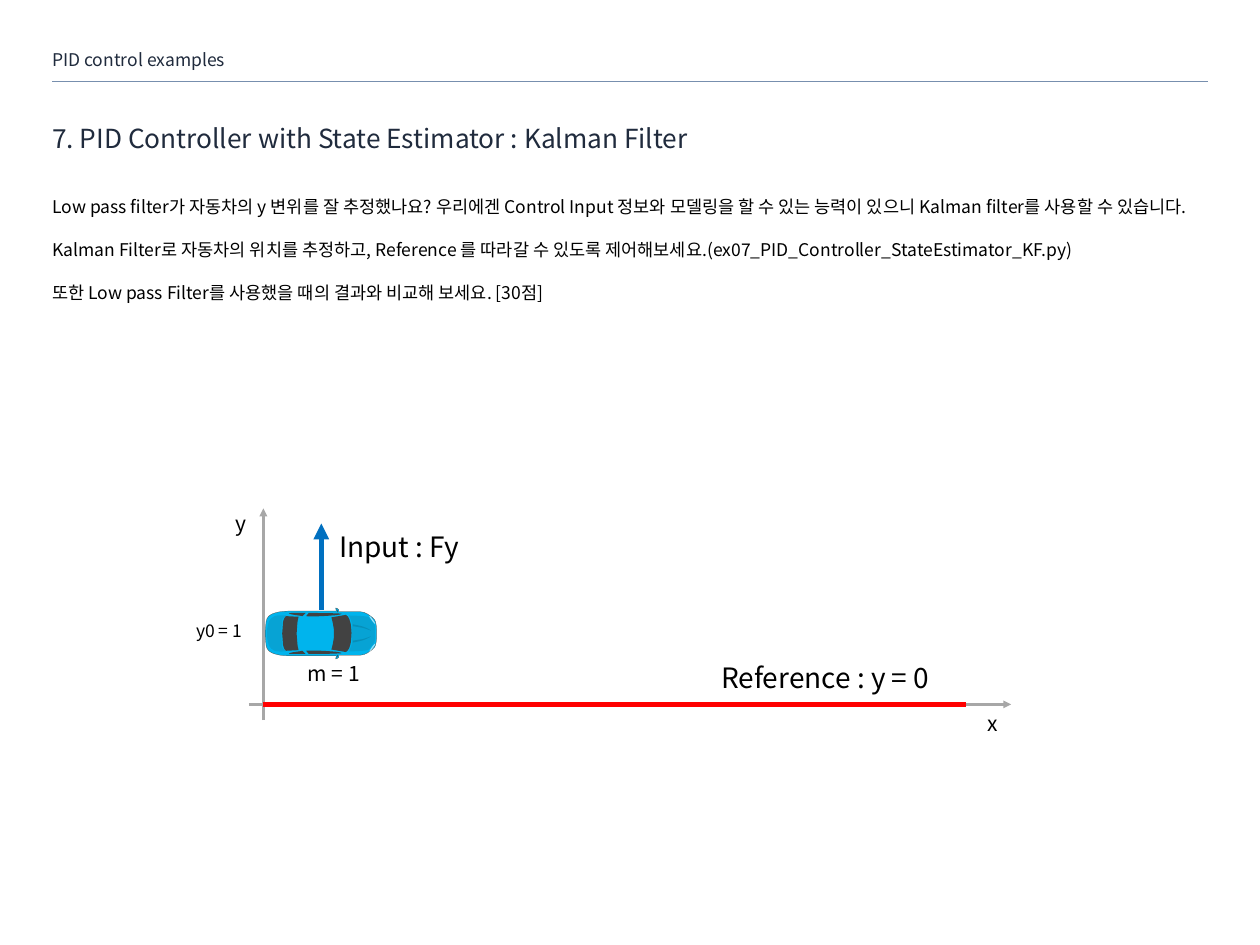
from lxml import etree
from pptx import Presentation, util as u
from pptx.dml.color import RGBColor
from pptx.enum import shapes, text
from pptx.oxml.ns import qn

PX = 9144  # EMU per px, 100 px to the inch
WIDTH, HEIGHT, MARGIN = 2000, 1500, 83

THEME = {
    "font": "Noto Sans CJK KR",
    "size": {"title": 30, "caption": 32, "axis": 24, "body": 20},
    "color": {
        "ink": "000000", "heading": "202B3D", "rule": "778FAE", "axis": "A7A7A7",
        "reference": "FF0000", "force": "0070C0", "paint": "00B4ED",
        "outline": "5B4036", "glass": "424242", "shade": "3C2A24", "light": "FFFFFF",
    },
}

HEADER = "PID control examples"
TITLE = "7. PID Controller with State Estimator : Kalman Filter"
BODY = [
    "Low pass filter가 자동차의 y 변위를 잘 추정했나요? 우리에겐 Control Input 정보와 모델링을 할 수 있는 능력이 있으니 Kalman filter를 사용할 수 있습니다.",
    "Kalman Filter로 자동차의 위치를 추정하고, Reference 를 따라갈 수 있도록 제어해보세요.(ex07_PID_Controller_StateEstimator_KF.py)",
    "또한 Low pass Filter를 사용했을 때의 결과와 비교해 보세요. [30점]",
]

# lines, box (left, top, width, height), size, colour, frame format, paragraph format
GROW = {"auto_size": text.MSO_AUTO_SIZE.SHAPE_TO_FIT_TEXT}
MIDDLE = {"vertical_anchor": text.MSO_ANCHOR.MIDDLE}
PROSE = [
    (BODY, (MARGIN, 294, 1833, 235), "body", "ink", GROW,
     {"line_spacing": 1.5, "space_before": u.Pt(13.5)}),
    ([TITLE], (MARGIN, 190, 1833, 65), "title", "heading", MIDDLE, {"line_spacing": 0.9}),
    ([HEADER], (MARGIN, 75, 1552, 43), "body", "heading", MIDDLE, {"line_spacing": 0.9}),
]

# label, left, top, width, size
LABELS = [
    ("Reference : y = 0", 1079, 1039, 462, "caption"),
    ("m = 1", 299, 1039, 462, "axis"),
    ("Input : Fy", 403, 831, 462, "caption"),
    ("y", 324, 802, 117, "axis"),
    ("x", 1517, 1118, 117, "axis"),
    ("y0 = 1", 117, 975, 462, "body"),
]
LABEL_HEIGHT = {"caption": 72, "axis": 59, "body": 52}
INSET = 9

ORIGIN_X, ORIGIN_Y = 418, 1118
# start, end, colour, points wide, has arrowhead
RULE = ((MARGIN, 129), (WIDTH - MARGIN, 129), "rule", 0.25, False)
AXES = [
    ((395, ORIGIN_Y), (1605, ORIGIN_Y), "axis", 3, True),
    ((ORIGIN_X, 1143), (ORIGIN_X, 807), "axis", 3, True),
]
SIGNALS = [
    ((ORIGIN_X, ORIGIN_Y), (1534, ORIGIN_Y), "reference", 6, False),
    ((510, 968), (510, 831), "force", 6, True),
]

# Outlines of the upper side of the car: (x, y) is a corner, six numbers a Bezier curve.
CAR_AXIS = 1005.5
BODYWORK = [
    (421, 1005), (421, 999, 421, 996, 422, 991), (422, 985, 424, 978, 431, 975),
    (435, 973, 444, 970, 459, 970), (534, 970), (533, 966), (532, 965, 533, 965, 533, 965),
    (534, 964, 537, 967, 538, 968), (538, 971), (572, 971), (580, 971, 587, 977, 591, 980),
    (594, 983, 596, 984, 597, 991), (598, 995, 598, 1000, 598, 1005),
]
WINDSCREEN = [
    (530, 1005), (530, 999), (529, 993, 528, 986, 526, 980), (549, 976),
    (554, 978, 556, 987, 557, 992), (557, 994, 558, 1001, 558, 1005),
]
REAR_WINDOW = [
    (448, 1005), (449, 992), (449, 988, 450, 981, 454, 978), (474, 979),
    (473, 983, 472, 987, 472, 990), (472, 994, 471, 1000, 471, 1005),
]
REAR_SIDE_WINDOW = [
    (485, 973), (480, 973, 466, 973, 462, 973), (456, 973, 459, 974, 462, 975),
    (465, 976, 476, 977, 480, 978), (482, 976, 483, 975, 485, 973),
]
FRONT_SIDE_WINDOW = [
    (490, 973), (486, 978), (492, 979, 516, 978, 526, 977),
    (535, 977, 547, 974, 541, 974), (524, 973, 507, 973, 490, 973),
]
WING_MIRROR = [
    (534, 966), (534, 966, 535, 969, 536, 969), (536, 970, 537, 976, 535, 969),
    (535, 969, 533, 967, 534, 966),
]
HOOD = [
    (559, 1005), (559, 993), (559, 988, 556, 982, 554, 977), (563, 977, 579, 978, 584, 979),
    (588, 982, 594, 991, 595, 993), (595, 1005),
]
HOOD_CREASE = [
    (560, 991), (560, 994), (564, 995, 569, 995, 572, 996), (576, 996, 583, 999, 589, 1001),
    (585, 998, 578, 995, 574, 994), (570, 993, 565, 992, 560, 991),
]
TRUNK = [
    (424, 1005), (424, 999), (425, 995, 425, 990, 427, 986), (429, 982, 432, 980, 436, 978),
    (441, 976, 448, 977, 454, 977), (451, 979, 449, 982, 448, 984), (447, 997), (447, 1005),
]
# outline, colour, opacity %, is a pair (otherwise one part that spans the car's axis)
CAR = [
    (BODYWORK, "paint", 100, False), (WINDSCREEN, "glass", 100, False),
    (REAR_WINDOW, "glass", 100, False), (REAR_SIDE_WINDOW, "glass", 100, True),
    (FRONT_SIDE_WINDOW, "glass", 100, True), (WING_MIRROR, "glass", 100, True),
    (HOOD, "shade", 12, False), (HOOD_CREASE, "ink", 12, True), (TRUNK, "shade", 12, False),
]
HEADLIGHTS = [((590, 976, 2, 16), 324.2), ((590, 1020, 2, 16), 35.8)]  # box, rotation


def emu(*lengths):
    return [round(length * PX) for length in lengths]


def color(name):
    return RGBColor.from_string(THEME["color"][name])


def apply(target, values):
    for name, value in values.items():
        setattr(target, name, value)


def add_text(slide, lines, box, size, ink, frame_format, paragraph_format, inset=0, kern=0):
    frame = slide.shapes.add_textbox(*emu(*box)).text_frame
    margins = {f"margin_{side}": u.Emu(inset * PX) for side in ("left", "right", "top", "bottom")}
    apply(frame, {"word_wrap": True, **margins, **frame_format})
    for index, line in enumerate(lines):
        paragraph = frame.add_paragraph() if index else frame.paragraphs[0]
        apply(paragraph, paragraph_format)
        run = paragraph.add_run()
        run.text = line
        apply(run.font, {"name": THEME["font"], "size": u.Pt(THEME["size"][size])})
        run.font.color.rgb = color(ink)
        run.font._element.set("kern", str(kern))
        etree.SubElement(run.font._element, qn("a:ea"), typeface=THEME["font"])


def add_line(slide, start, end, stroke, points, arrow):
    line = slide.shapes.add_connector(shapes.MSO_CONNECTOR.STRAIGHT, *emu(*start, *end))
    line.line.color.rgb = color(stroke)
    line.line.width = u.Pt(points)
    if arrow:
        etree.SubElement(line.line._get_or_add_ln(), qn("a:tailEnd"), type="triangle")
    etree.SubElement(line._element.spPr, qn("a:effectLst"))


def paint(shape, fill, opacity):
    shape.shadow.inherit = False
    shape.fill.solid()
    shape.fill.fore_color.rgb = color(fill)
    shape.line.fill.background()
    if opacity < 100:
        solid = shape._element.spPr.find(qn("a:solidFill"))
        etree.SubElement(solid[0], qn("a:alpha"), val=str(opacity * 1000))


def mirror(outline):
    return [tuple(2 * CAR_AXIS - n if i % 2 else n for i, n in enumerate(part)) for part in outline]


def backwards(outline):
    """Steps that lead from the end of an outline to its start."""
    steps = []
    for before, part in zip(outline[-2::-1], outline[:0:-1]):
        steps.append(part[2:4] + part[:2] + before[-2:] if len(part) == 6 else before[-2:])
    return steps


def add_outline(slide, outline):
    """Draw the ends of all steps, then bend the steps that are curves."""
    builder = slide.shapes.build_freeform(*emu(*outline[0]), scale=1.0)
    builder.add_line_segments([emu(*part[-2:]) for part in outline[1:]], close=True)
    panel = builder.convert_to_shape()
    for step, part in zip(list(panel._element.iter(qn("a:lnTo"))), outline[1:]):
        if len(part) == 6:
            step.tag = qn("a:cubicBezTo")
            for index in (0, 2):
                x, y = emu(*part[index:index + 2])
                point = etree.Element(qn("a:pt"), x=str(x - panel.left), y=str(y - panel.top))
                step.insert(index // 2, point)
    return panel


def add_car(slide):
    for outline, fill, opacity, pair in CAR:
        lower = mirror(outline)
        for part in [outline, lower] if pair else [outline + backwards(lower)]:
            panel = add_outline(slide, part)
            paint(panel, fill, opacity)
            if outline is BODYWORK:
                panel.line.color.rgb = color("outline")
                panel.line.width = u.Pt(0.25)
    for box, rotation in HEADLIGHTS:
        headlight = slide.shapes.add_shape(shapes.MSO_SHAPE.OVAL, *emu(*box))
        headlight.rotation = rotation
        paint(headlight, "light", 63)


deck = Presentation()
apply(deck, {"slide_width": u.Emu(WIDTH * PX), "slide_height": u.Emu(HEIGHT * PX)})
slide = deck.slides.add_slide(deck.slide_layouts[6])
for block in PROSE:
    add_text(slide, *block)
for line in [RULE, *AXES]:
    add_line(slide, *line)
add_car(slide)
for line in SIGNALS:
    add_line(slide, *line)
for label, left, top, width, size in LABELS:
    box = (left, top, width, LABEL_HEIGHT[size])
    add_text(slide, [label], box, size, "ink", GROW, {"alignment": text.PP_ALIGN.CENTER}, INSET, 1200)
deck.save("out.pptx")
